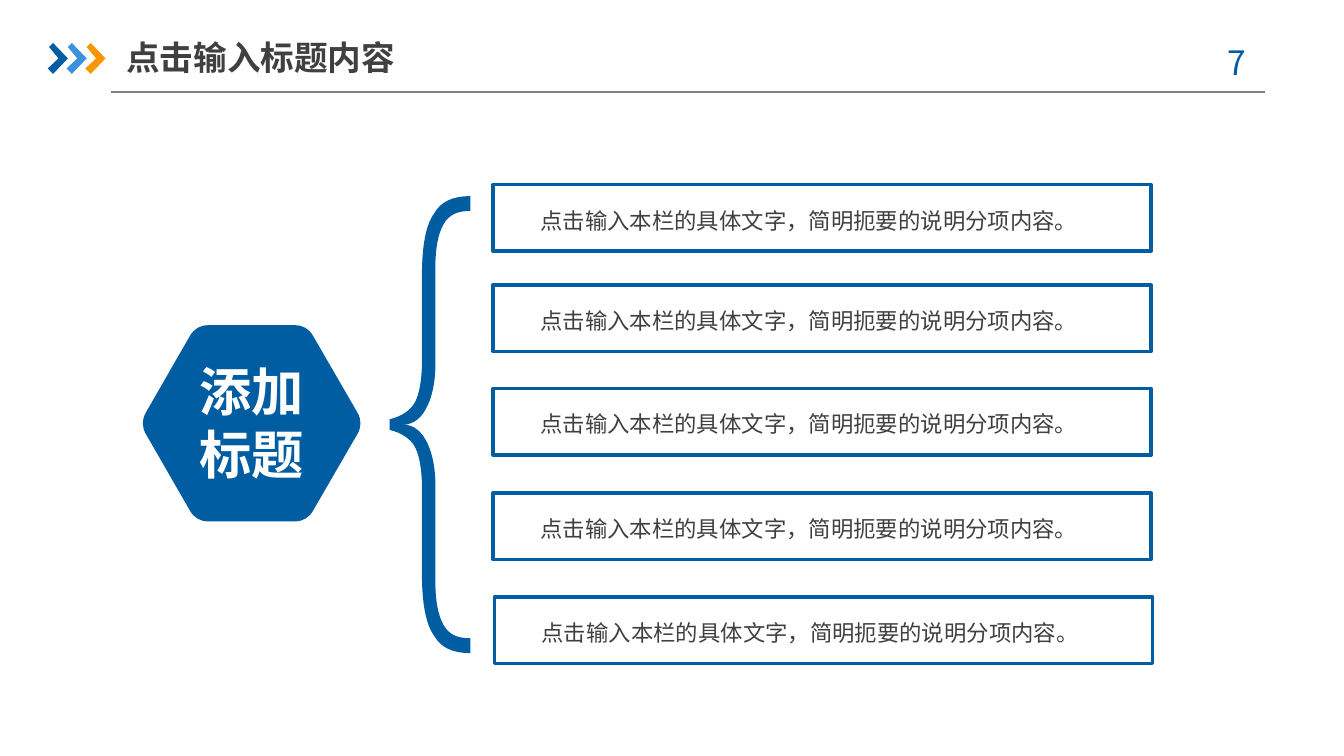
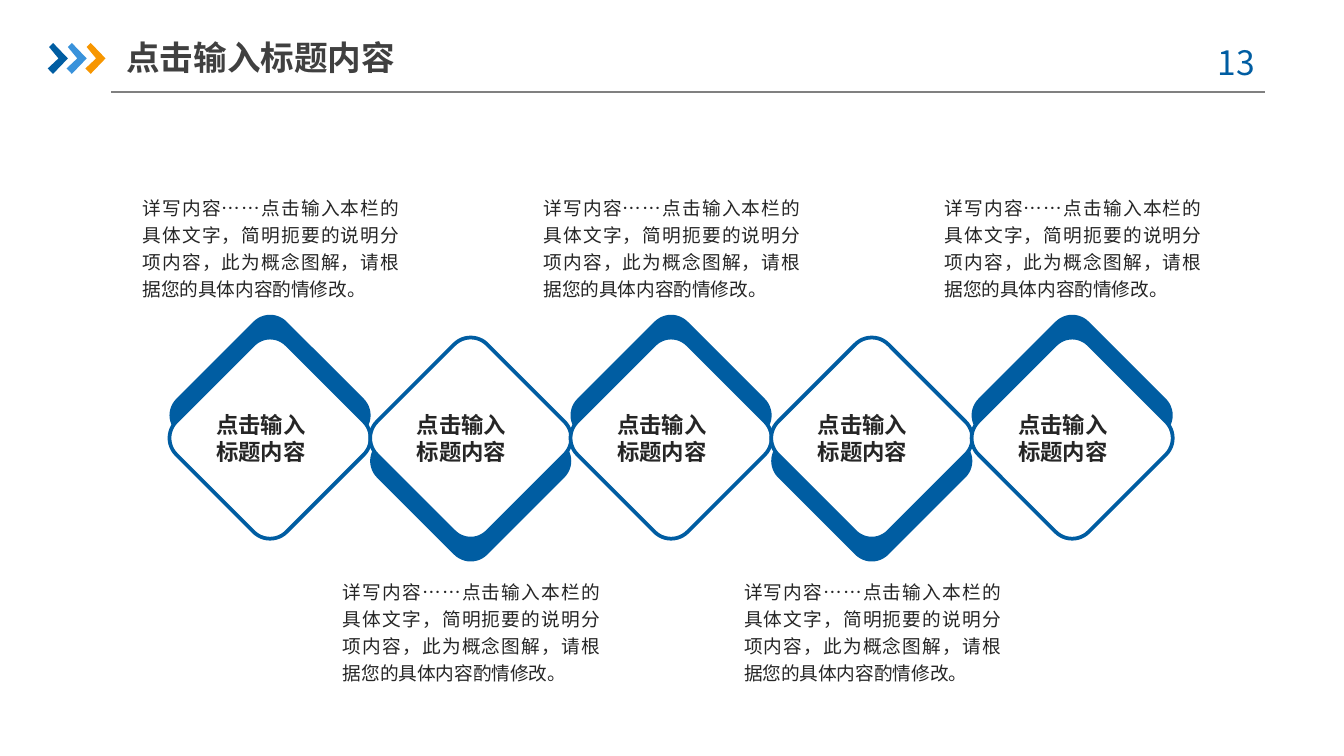
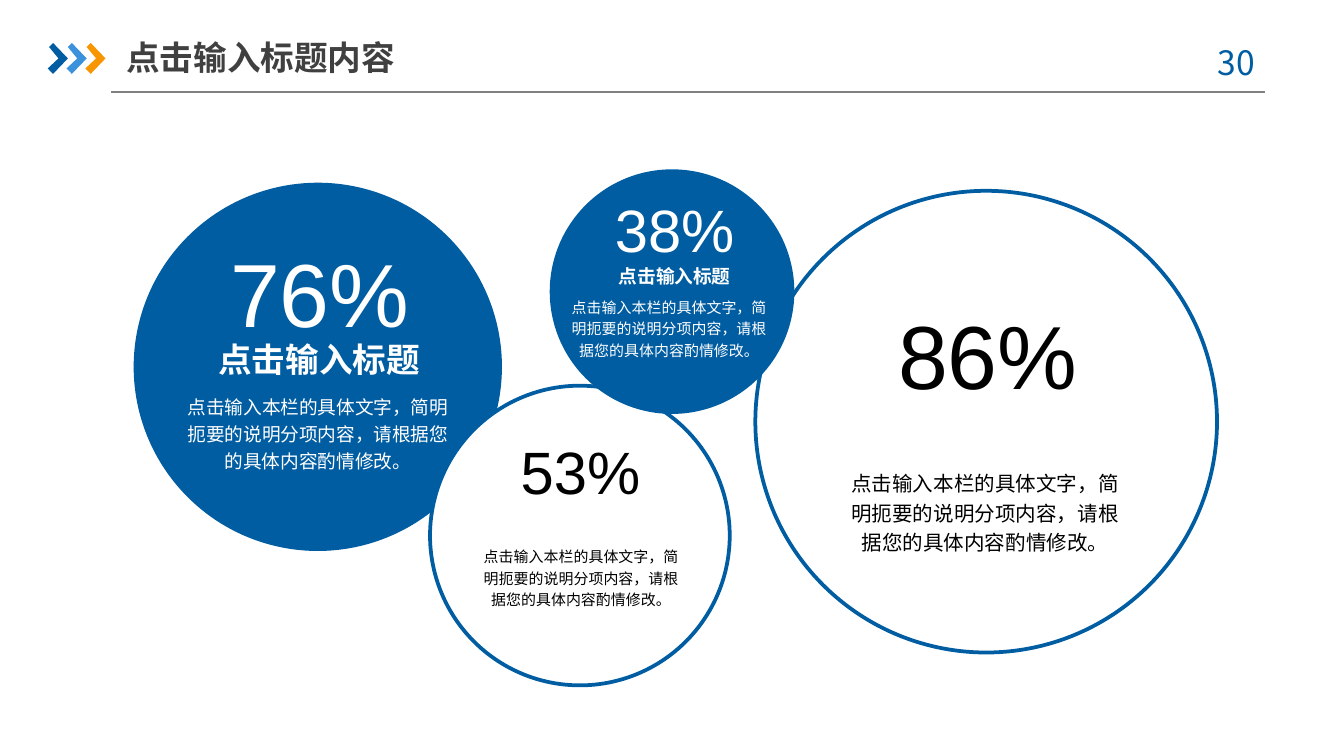
from dataclasses import dataclass

from lxml.etree import SubElement
from pptx import Presentation
from pptx.dml.color import RGBColor
from pptx.enum.shapes import MSO_CONNECTOR, MSO_SHAPE
from pptx.enum.text import MSO_ANCHOR, PP_ALIGN
from pptx.oxml.ns import qn
from pptx.util import Inches, Pt

# Square grid: 100 columns by 56.25 rows; all positions below are in cells.
WIDTH, HEIGHT = Inches(10), Inches(5.625)
CELL = WIDTH / 100

BLUE = RGBColor(0x00, 0x5D, 0xA2)
SKY = RGBColor(0x39, 0x92, 0xDB)
ORANGE = RGBColor(0xF7, 0x96, 0x00)
WHITE = RGBColor(0xFF, 0xFF, 0xFF)
BLACK = RGBColor(0x00, 0x00, 0x00)
GRAY = RGBColor(0x80, 0x80, 0x80)
TITLE_INK = RGBColor(0x40, 0x40, 0x40)
BODY_INK = RGBColor(0x26, 0x26, 0x26)

LATIN, CJK = "Arial", "Noto Sans CJK SC"
TITLE = "点击输入标题内容"
BAR_TEXT = "点击输入本栏的具体文字，简明扼要的说明分项内容。"
BUBBLE_TEXT = "点击输入本栏的具体文字，简明扼要的说明分项内容，请根据您的具体内容酌情修改。"
DIAMOND_TEXT = "详写内容……点击输入本栏的具体文字，简明扼要的说明分项内容，此为概念图解，请根据您的具体内容酌情修改。"

Point = tuple[float, float]
Curve = list[Point]  # one corner point, or the four points of a cubic curve


@dataclass(frozen=True)
class Area:
    left: float
    top: float
    width: float
    height: float

    def emu(self) -> list[int]:
        return [cells(v) for v in (self.left, self.top, self.width, self.height)]


@dataclass(frozen=True)
class TextStyle:
    size: float
    color: RGBColor
    bold: bool = False
    align: PP_ALIGN = PP_ALIGN.LEFT
    spacing: float = 1.0
    latin: str = LATIN
    anchor: MSO_ANCHOR = MSO_ANCHOR.TOP
    inset: Point = (0, 0)
    wrap: bool = True


@dataclass(frozen=True)
class Label:
    center: float
    top: float
    size: float


@dataclass(frozen=True)
class Bubble:
    circle: Area
    filled: bool
    percent: str
    share: Label
    body: Label
    body_width: float
    heading: Label | None = None


TITLE_STYLE = TextStyle(18, TITLE_INK, bold=True, anchor=MSO_ANCHOR.MIDDLE, inset=(0, 0.5))
NUMBER_STYLE = TextStyle(18, BLUE, align=PP_ALIGN.CENTER, latin=CJK, inset=(1, 0.5))
HEXAGON_STYLE = TextStyle(28, WHITE, bold=True, align=PP_ALIGN.CENTER)
BAR_STYLE = TextStyle(12, TITLE_INK, align=PP_ALIGN.JUSTIFY, spacing=1.2)
DIAMOND_STYLE = TextStyle(12, BODY_INK, bold=True, anchor=MSO_ANCHOR.MIDDLE, inset=(1, 0.5))
CAPTION_STYLE = TextStyle(10, BODY_INK, align=PP_ALIGN.JUSTIFY, spacing=1.2)

CHEVRON = [(0.1, 0.3), (0.4, 0), (1.5, 1.15), (0.4, 2.3), (0, 1.9), (0.8, 1.15)]
HEXAGON = [(10.4, 31.5), (14.6, 24.2), (22.84, 24.2),
           (27.06, 31.5), (22.84, 38.8), (14.6, 38.8)]
BRACE_MIDDLE = 31.6
# Upper half of the brace: inner edge going up, then outer edge coming down.
BRACE_UPPER = [
    [(30, 31.6), (31.7, 31.6), (32.4, 29.2), (32.4, 27.2)],
    [(32.4, 19.9), (32.4, 18.5), (32.6, 17.4), (33, 16.7)],
    [(33, 16.7), (33.4, 16), (34, 15.7), (35, 15.7)],
    [(35, 14.6), (33.7, 14.6), (32.8, 15), (32.3, 15.9)],
    [(32.3, 15.9), (31.7, 16.7), (31.4, 18.3), (31.4, 20.5)],
    [(31.4, 26.9), (31.4, 28.3), (31.2, 29.3), (30.9, 29.9)],
    [(30.9, 29.9), (30.6, 30.5), (29.9, 31), (29, 31.2)],
]
BARS = [(36.7, 13.73), (36.7, 21.2), (36.7, 28.9), (36.7, 36.68), (36.8, 44.42)]

BUBBLES = [
    Bubble(Area(56.2, 14.2, 34.35, 34.35), False, "86%",
           Label(73.5, 22.3, 48), Label(73.3, 34.7, 11), 21.2),
    Bubble(Area(9.95, 13.6, 27.4, 27.4), True, "76%",
           Label(23.8, 17.7, 48), Label(23.65, 29.15, 10), 19.7, Label(23.75, 25.2, 18)),
    Bubble(Area(32, 28.7, 22.3, 22.3), False, "53%",
           Label(43.2, 32.35, 32), Label(43.25, 40.5, 8), 15.3),
    Bubble(Area(40.9, 12.6, 18.2, 18.2), True, "38%",
           Label(50.2, 14.35, 32), Label(49.8, 21.95, 8), 14.6, Label(50.2, 19.7, 10)),
]


def cells(count: float) -> int:
    return round(count * CELL)


def paint(shape, fill: RGBColor, outline: RGBColor | None = None) -> None:
    shape.shadow.inherit = False
    shape.fill.solid()
    shape.fill.fore_color.rgb = fill
    if outline is None:
        shape.line.fill.background()
    else:
        shape.line.color.rgb = outline
        shape.line.width = Pt(2)


def add_preset(shapes, kind: MSO_SHAPE, area: Area, fill: RGBColor,
               outline: RGBColor | None = None):
    shape = shapes.add_shape(kind, *area.emu())
    paint(shape, fill, outline)
    return shape


def add_outline(shapes, curves: list[Curve], fill: RGBColor) -> None:
    """Draw a closed outline; straight lines join curves that do not touch."""
    points, bends = [], []
    for start, *controls in curves:
        if not points or points[-1] != start:
            points.append(start)
        if controls:
            bends.append(len(points))
            points += controls
    corners = [(cells(x), cells(y)) for x, y in points]
    builder = shapes.build_freeform(*corners[0], scale=1.0)
    builder.add_line_segments(corners[1:], close=True)
    shape = builder.convert_to_shape()
    steps = list(next(shape._element.iter(qn("a:path"))))
    for bend in bends:
        first, *others = steps[bend:bend + 3]
        first.tag = qn("a:cubicBezTo")
        for step in others:
            first.append(step[0])
            step.getparent().remove(step)
    paint(shape, fill)


def add_text(shapes, area: Area, text: str, style: TextStyle) -> None:
    box = shapes.add_textbox(*area.emu())
    frame = box.text_frame
    frame.word_wrap = style.wrap
    frame.vertical_anchor = style.anchor
    frame.margin_left = frame.margin_right = cells(style.inset[0])
    frame.margin_top = frame.margin_bottom = cells(style.inset[1])
    para = frame.paragraphs[0]
    para.text = text
    para.alignment = style.align
    para.line_spacing = style.spacing
    para.font.size = Pt(style.size)
    para.font.bold = style.bold
    para.font.color.rgb = style.color
    para.font.name = style.latin
    defaults = para._p.pPr.find(qn("a:defRPr"))
    SubElement(defaults, qn("a:ea")).set("typeface", CJK)


def between(start: Point, end: Point, share: float) -> Point:
    (a, b), (c, d) = start, end
    return a + (c - a) * share, b + (d - b) * share


def rounded(corners: list[Point], cut: float) -> list[Curve]:
    """Replace each corner by two curves that start and end a share cut away."""
    curves = []
    for index, corner in enumerate(corners):
        start = between(corner, corners[index - 1], cut)
        end = between(corner, corners[(index + 1) % len(corners)], cut)
        before, after = between(start, corner, 0.5), between(corner, end, 0.5)
        middle = between(before, after, 0.5)
        for first, control, last in ((start, before, middle), (middle, after, end)):
            curves.append([first, between(first, control, 2 / 3),
                           between(last, control, 2 / 3), last])
    return curves


def brace_curves() -> list[Curve]:
    lower = [[(x, 2 * BRACE_MIDDLE - y) for x, y in reversed(curve)]
             for curve in reversed(BRACE_UPPER)]
    return BRACE_UPPER + lower


def add_page(deck, number: int):
    """Add a blank slide with the shared rule, chevrons, number and title."""
    page = deck.slides.add_slide(deck.slide_layouts[6])
    rule = page.shapes.add_connector(
        MSO_CONNECTOR.STRAIGHT, cells(8.27), cells(6.85), cells(94.1), cells(6.85))
    rule.line.color.rgb = GRAY
    rule.line.width = Pt(0.75)
    SubElement(rule._element.spPr, qn("a:effectLst"))
    chevrons = page.shapes.add_group_shape().shapes
    for index, color in enumerate((BLUE, SKY, ORANGE)):
        left = 3.55 + 1.4 * index
        add_outline(chevrons, [[(left + x, 3.2 + y)] for x, y in CHEVRON], color)
    add_text(page.shapes, Area(88.63, 2.6, 7.3, 4), f"{number} ", NUMBER_STYLE)
    add_text(page.shapes, Area(9.4, 2.15, 23.3, 4.2), TITLE, TITLE_STYLE)
    return page


def add_brace_page(deck) -> None:
    shapes = add_page(deck, 7).shapes
    add_outline(shapes, rounded(HEXAGON, 0.11), BLUE)
    add_text(shapes, Area(13.78, 26.75, 9.9, 9.4), "添加标题", HEXAGON_STYLE)
    add_outline(shapes, brace_curves(), BLUE)
    for left, top in BARS:
        add_preset(shapes, MSO_SHAPE.RECTANGLE, Area(left, top, 48.95, 4.95), WHITE, BLUE)
        add_text(shapes, Area(left + 3.5, top + 1.25, 41.1, 2.2), BAR_TEXT, BAR_STYLE)


def add_diamond_page(deck) -> None:
    shapes = add_page(deck, 13).shapes
    side, front_top = 11.6, 26.8
    for index in range(5):
        shift = 14.92 * index
        raised = index % 2 == 0
        back_top = front_top + (-1.7 if raised else 1.7)
        pair = shapes.add_group_shape().shapes
        for top, fill, outline in ((back_top, BLUE, None), (front_top, WHITE, BLUE)):
            diamond = add_preset(pair, MSO_SHAPE.ROUNDED_RECTANGLE,
                                 Area(14.3 + shift, top, side, side), fill, outline)
            diamond.adjustments[0] = 0.15
            diamond.rotation = 315 if raised else 135
        add_text(shapes, Area(15.1 + shift, 31.5, 9.9, 2.2), TITLE, DIAMOND_STYLE)
        caption_top = 14.32 if raised else 42.9
        add_text(shapes, Area(10.6 + shift, caption_top, 19.1, 8.1),
                 DIAMOND_TEXT, CAPTION_STYLE)


def add_bubble(shapes, bubble: Bubble) -> None:
    group = shapes.add_group_shape().shapes
    ink = WHITE if bubble.filled else BLACK

    def write(label: Label, text: str, width: float, height: float, **options) -> None:
        add_text(group, Area(label.center - width / 2, label.top, width, height), text,
                 TextStyle(label.size, ink, align=PP_ALIGN.CENTER, **options))

    def write_line(label: Label, text: str, width: float, **options) -> None:
        write(label, text, width * label.size, 0.17 * label.size, wrap=False, **options)

    add_preset(group, MSO_SHAPE.OVAL, bubble.circle,
               BLUE if bubble.filled else WHITE, None if bubble.filled else BLUE)
    write(bubble.body, BUBBLE_TEXT, bubble.body_width, 0.61 * bubble.body.size, spacing=1.2)
    write_line(bubble.share, bubble.percent, 0.28)
    if bubble.heading:
        write_line(bubble.heading, "点击输入标题", 0.84, bold=True)


def add_bubble_page(deck) -> None:
    shapes = add_page(deck, 30).shapes
    for bubble in BUBBLES:
        add_bubble(shapes, bubble)


def main() -> None:
    deck = Presentation()
    deck.slide_width, deck.slide_height = WIDTH, HEIGHT
    add_brace_page(deck)
    add_diamond_page(deck)
    add_bubble_page(deck)
    deck.save("out.pptx")


if __name__ == "__main__":
    main()
